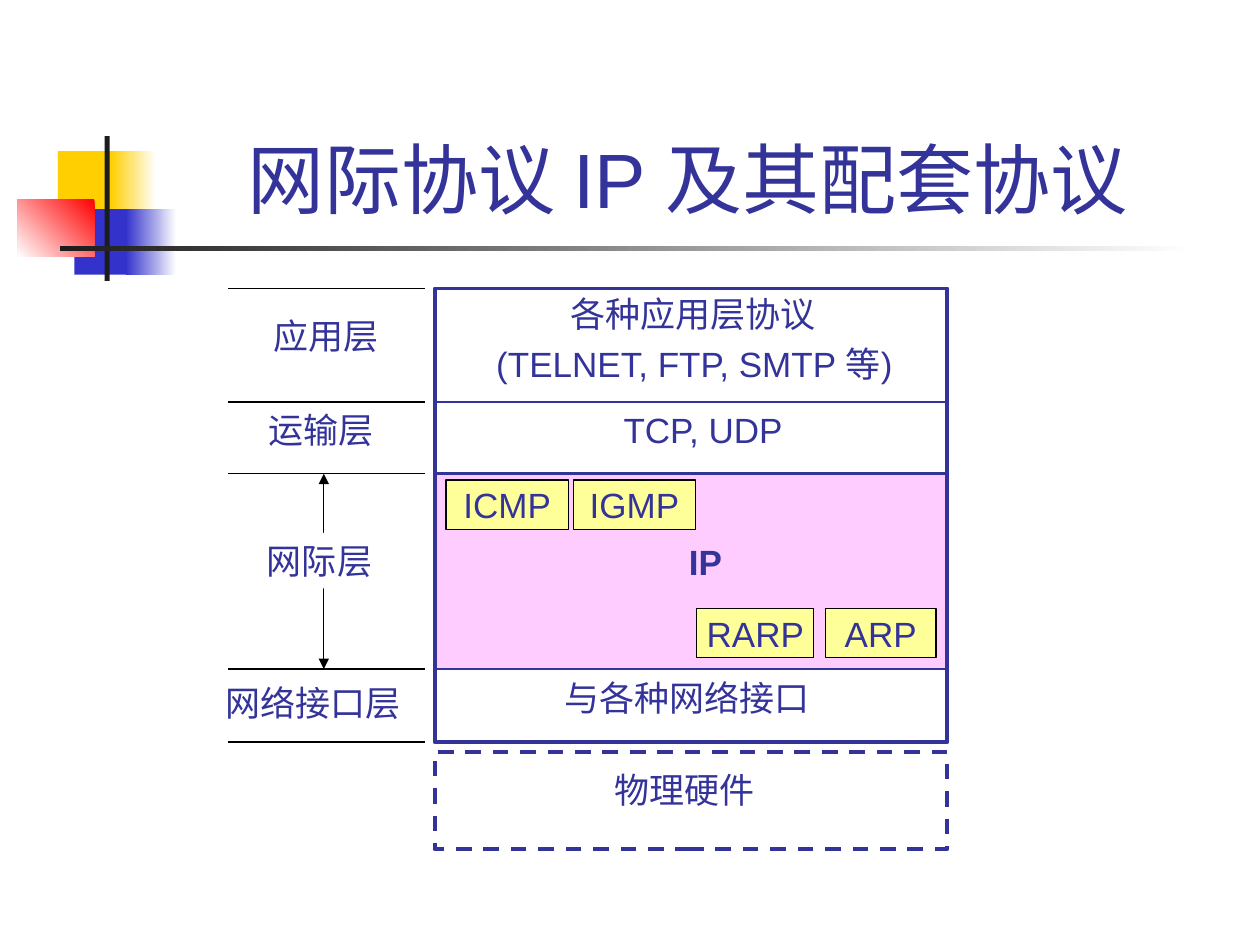
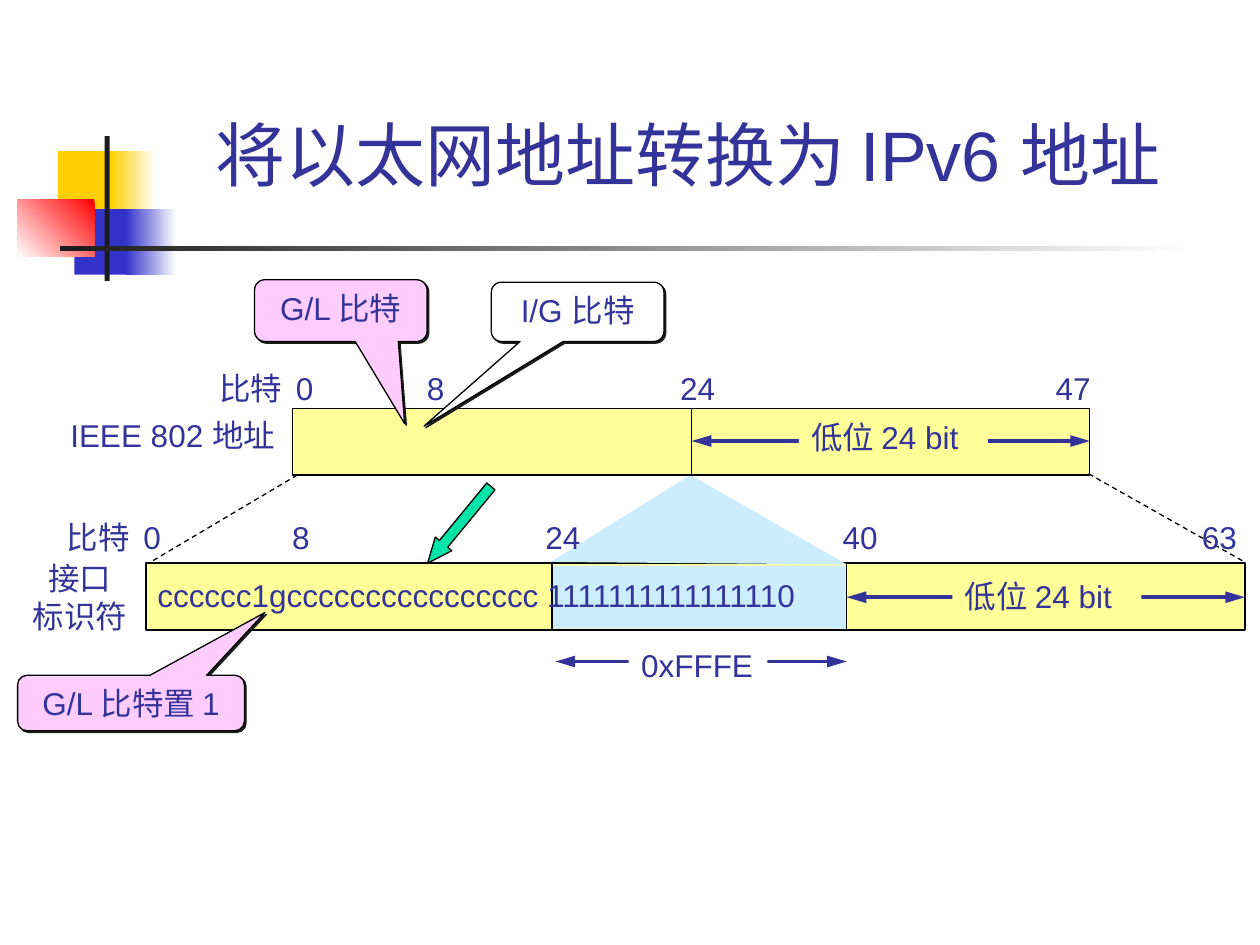
from dataclasses import dataclass
from typing import Optional

import lxml.etree
import pptx
import pptx.dml.color
import pptx.enum.dml
import pptx.enum.shapes
import pptx.enum.text
import pptx.oxml.ns
import pptx.shapes.autoshape
import pptx.slide
import pptx.util

Inches = pptx.util.Inches
Kind = pptx.enum.shapes.MSO_SHAPE
Align = pptx.enum.text.PP_ALIGN
Anchor = pptx.enum.text.MSO_ANCHOR
Fit = pptx.enum.text.MSO_AUTO_SIZE
DASH = pptx.enum.dml.MSO_LINE.DASH


@dataclass(frozen=True)
class Theme:
    font: str = "Arial"
    ink: str = "333399"
    black: str = "000000"
    white: str = "FFFFFF"
    yellow: str = "FFFF99"
    pink: str = "FFCCFF"
    sky: str = "CCECFF"
    green: str = "00E4A8"
    gold: str = "FFCF01"
    blue: str = "3333CC"
    red: str = "FF0000"
    dark: str = "1C1C1C"
    layer_size: int = 20
    bit_size: int = 18
    thin: float = 0.75
    medium: float = 1.5
    thick: float = 2.25


THEME = Theme()


@dataclass(frozen=True)
class Block:
    """A preset shape; fade is the end colour of a gradient."""
    left: float
    top: float
    width: float
    height: float
    fill: Optional[str] = None
    line: Optional[str] = None
    weight: float = THEME.thin
    dashed: bool = False
    fade: Optional[str] = None
    angle: float = 180
    kind: Kind = Kind.RECTANGLE
    adjust: tuple[float, ...] = ()
    turn: float = 0
    text: str = ""
    size: int = THEME.layer_size


@dataclass(frozen=True)
class Label:
    """A text box that does not wrap unless it holds tab stops."""
    left: float
    top: float
    width: float
    height: float
    text: str
    size: int = THEME.layer_size
    bold: bool = False
    fill: Optional[str] = None
    align: Align = Align.LEFT
    spacing: Optional[float] = None
    stops: tuple[float, ...] = ()


@dataclass(frozen=True)
class Rule:
    x1: float
    y1: float
    x2: float
    y2: float
    color: str = THEME.black
    weight: float = THEME.thin
    dashed: bool = False
    arrow: Optional[str] = None  # length of both arrowheads


def rgb(color: str) -> pptx.dml.color.RGBColor:
    return pptx.dml.color.RGBColor.from_string(color)


def add_xml(parent: lxml.etree._Element, tag: str, **attributes: str) -> lxml.etree._Element:
    return lxml.etree.SubElement(parent, pptx.oxml.ns.qn(tag), attributes)


def write(frame: pptx.text.text.TextFrame, text: str, size: int, align: Align, bold: bool = False) -> None:
    frame.text = text
    for para in frame.paragraphs:
        para.alignment = align
        for span in para.runs:
            span.font.name = THEME.font
            span.font.size = pptx.util.Pt(size)
            span.font.bold = bold
            span.font.color.rgb = rgb(THEME.ink)


def draw_block(slide: pptx.slide.Slide, block: Block) -> pptx.shapes.autoshape.Shape:
    shape = slide.shapes.add_shape(block.kind, Inches(block.left), Inches(block.top),
                                   Inches(block.width), Inches(block.height))
    shape.shadow.inherit = False
    shape.rotation = block.turn
    for index, value in enumerate(block.adjust):
        shape.adjustments[index] = value
    if block.fade:
        shape.fill.gradient()
        shape.fill.gradient_angle = block.angle
        for stop, color in zip(shape.fill.gradient_stops, (block.fill, block.fade)):
            stop.color.rgb = rgb(color)
    elif block.fill:
        shape.fill.solid()
        shape.fill.fore_color.rgb = rgb(block.fill)
    else:
        shape.fill.background()
    if block.line:
        shape.line.color.rgb = rgb(block.line)
        shape.line.width = pptx.util.Pt(block.weight)
        if block.dashed:
            shape.line.dash_style = DASH
    else:
        shape.line.fill.background()
    if block.text:
        shape.text_frame.word_wrap = False
        shape.text_frame.vertical_anchor = Anchor.MIDDLE
        write(shape.text_frame, block.text, block.size, Align.CENTER)
    return shape


def draw_callout(slide: pptx.slide.Slide, block: Block) -> None:
    shape = draw_block(slide, block)
    shape.text_frame.vertical_anchor = Anchor.TOP
    effects = shape._element.spPr.find(pptx.oxml.ns.qn("a:effectLst"))
    shadow = add_xml(effects, "a:outerShdw", dist=str(pptx.util.Pt(1.4)), dir="2700000",
                     algn="ctr", rotWithShape="0")
    add_xml(shadow, "a:srgbClr", val=THEME.dark)


def draw_label(slide: pptx.slide.Slide, label: Label) -> None:
    box = slide.shapes.add_textbox(Inches(label.left), Inches(label.top),
                                   Inches(label.width), Inches(label.height))
    if label.fill:
        box.fill.solid()
        box.fill.fore_color.rgb = rgb(label.fill)
    frame = box.text_frame
    frame.word_wrap = bool(label.stops)
    frame.auto_size = Fit.SHAPE_TO_FIT_TEXT
    write(frame, label.text, label.size, label.align, label.bold)
    para = frame.paragraphs[0]
    if label.spacing:
        para.line_spacing = label.spacing
    if label.stops:
        tabs = add_xml(para._p.get_or_add_pPr(), "a:tabLst")
        for stop in label.stops:
            add_xml(tabs, "a:tab", pos=str(Inches(stop)), algn="l")


def draw_rule(slide: pptx.slide.Slide, rule: Rule) -> None:
    connector = slide.shapes.add_connector(pptx.enum.shapes.MSO_CONNECTOR.STRAIGHT,
                                           Inches(rule.x1), Inches(rule.y1),
                                           Inches(rule.x2), Inches(rule.y2))
    connector.line.color.rgb = rgb(rule.color)
    connector.line.width = pptx.util.Pt(rule.weight)
    if rule.dashed:
        connector.line.dash_style = DASH
    if rule.arrow:
        for end in ("a:headEnd", "a:tailEnd"):
            add_xml(connector.line._get_or_add_ln(), end, type="triangle", w="med", len=rule.arrow)
    add_xml(connector._element.spPr, "a:effectLst")


def start_slide(deck: pptx.presentation.Presentation, title: str, size: int,
                top: float, height: float) -> pptx.slide.Slide:
    slide = deck.slides.add_slide(deck.slide_layouts[6])
    # Corner squares, cross and fading rule
    for block in (
        Block(0.46, 1.2, 0.48, 0.52, THEME.gold),
        Block(0.88, 1.2, 0.36, 0.52, THEME.white, fade=THEME.gold),
        Block(0.59, 1.66, 0.46, 0.52, THEME.blue),
        Block(1, 1.66, 0.4, 0.52, THEME.white, fade=THEME.blue),
        Block(0.14, 1.58, 0.61, 0.46, THEME.red, fade=THEME.white, angle=225),
        Block(0.83, 1.08, 0.04, 1.15, THEME.dark),
        Block(0.48, 1.95, 9, 0.04, THEME.white, fade=THEME.dark),
    ):
        draw_block(slide, block)
    # Title
    box = slide.shapes.add_textbox(Inches(1.2), Inches(top), Inches(8.52), Inches(height))
    box.text_frame.word_wrap = True
    box.text_frame.vertical_anchor = Anchor.BOTTOM
    write(box.text_frame, title, size, Align.CENTER)
    return slide


def build_layers(deck: pptx.presentation.Presentation) -> None:
    slide = start_slide(deck, "网际协议 IP 及其配套协议", 44, 0.23, 1.6)
    left, right, width = 3.45, 7.52, 4.07
    edges = (2.29, 3.19, 3.76, 5.31, 5.89)

    # Protocol stack and hardware
    draw_block(slide, Block(left, 3.76, width, 1.55, THEME.pink))
    draw_block(slide, Block(left, 2.29, width, 3.6, line=THEME.ink, weight=THEME.thick))
    draw_block(slide, Block(left, 5.97, width, 0.77, THEME.white, THEME.ink, THEME.thick, True))
    for y in edges[1:-1]:
        draw_rule(slide, Rule(left, y, right, y, THEME.ink, THEME.medium))

    # Layer marks
    for y in edges:
        draw_rule(slide, Rule(1.81, y, 3.37, y))
    draw_rule(slide, Rule(2.57, 3.76, 2.57, 5.31, arrow="med"))

    # Protocol boxes
    for x, y, box_width, name in ((3.54, 3.81, 0.97, "ICMP"), (4.55, 3.81, 0.97, "IGMP"),
                                  (5.53, 4.83, 0.93, "RARP"), (6.55, 4.83, 0.88, "ARP")):
        draw_block(slide, Block(x, y, box_width, 0.39, THEME.yellow, THEME.black, text=name))

    # Layer names and contents
    for label in (
        Label(2.07, 2.45, 1.15, 0.44, "应用层"),
        Label(2.03, 3.19, 1.15, 0.44, "运输层"),
        Label(2.02, 4.23, 1.15, 0.44, "网际层", fill=THEME.white),
        Label(1.69, 5.44, 1.7, 0.35, "网络接口层", spacing=0.75),
        Label(4.43, 2.27, 2.25, 0.44, "各种应用层协议"),
        Label(3.84, 2.67, 3.6, 0.44, "(TELNET, FTP, SMTP 等)"),
        Label(4.85, 3.19, 1.55, 0.44, "TCP, UDP"),
        Label(5.37, 4.24, 0.5, 0.44, "IP", bold=True),
        Label(4.38, 5.32, 2.25, 0.44, "与各种网络接口"),
        Label(4.78, 6.05, 1.4, 0.44, "物理硬件"),
    ):
        draw_label(slide, label)


def build_addresses(deck: pptx.presentation.Presentation) -> None:
    slide = start_slide(deck, "将以太网地址转换为 IPv6 地址", 40, 0.68, 0.92)
    size = THEME.bit_size

    # Address bars and the inserted field
    draw_block(slide, Block(1.16, 4.47, 8.72, 0.53, THEME.yellow, THEME.black, THEME.medium))
    draw_block(slide, Block(4.39, 4.49, 2.33, 0.5, THEME.sky))
    wedge = slide.shapes.build_freeform(Inches(5.48), Inches(3.77))
    wedge.add_line_segments([(Inches(4.37), Inches(4.46)), (Inches(6.72), Inches(4.48))])
    insertion = wedge.convert_to_shape()
    insertion.shadow.inherit = False
    insertion.fill.solid()
    insertion.fill.fore_color.rgb = rgb(THEME.sky)
    insertion.line.fill.background()
    draw_block(slide, Block(2.32, 3.24, 6.33, 0.53, THEME.yellow, THEME.black))

    # Field dividers, then the dashed links between the bars
    for x, y in ((5.49, 3.24), (4.38, 4.47), (6.72, 4.47)):
        draw_rule(slide, Rule(x, y, x, y + 0.53))
    draw_rule(slide, Rule(8.64, 3.76, 9.86, 4.45, dashed=True))
    draw_rule(slide, Rule(2.36, 3.77, 1.18, 4.47, dashed=True))

    # Field spans
    for x1, x2, y in ((5.49, 8.65, 3.5), (6.72, 9.88, 4.74), (4.41, 6.72, 5.25)):
        draw_rule(slide, Rule(x1, y, x2, y, THEME.ink, THEME.thick, arrow="lg"))

    # Bit numbers, names and values
    for label in (
        Label(6.34, 3.27, 1.5, 0.4, "低位 24 bit", size, fill=THEME.yellow),
        Label(7.56, 4.53, 1.5, 0.4, "低位 24 bit", size, fill=THEME.yellow),
        Label(4.99, 5.08, 1.1, 0.4, "0xFFFE", size, fill=THEME.white),
        Label(1.15, 4.52, 5.52, 0.4, "cccccc1gcccccccccccccccc 1111111111111110", size),
        Label(1.64, 2.88, 7.2, 0.4, "比特\t0\t8\t24\t47", size, stops=(0.61, 1.65, 3.66, 6.64)),
        Label(0.43, 4.06, 9.55, 0.4, "比特\t0\t8\t24\t40\t63", size,
              stops=(0.61, 1.79, 3.8, 6.16, 9.01)),
        Label(0.46, 3.25, 2, 0.4, "IEEE 802 地址", size),
        Label(0.12, 4.39, 1.03, 0.7, "接口\n标识符", size, align=Align.CENTER),
    ):
        draw_label(slide, label)

    # Conversion arrow and callouts
    draw_block(slide, Block(3.56, 3.77, 0.17, 0.79, THEME.green, THEME.black,
                            kind=Kind.DOWN_ARROW, adjust=(0.5, 1.17), turn=39.5))
    for x, y, width, height, fill, tip, text in (
        (3.9, 2.24, 1.37, 0.47, THEME.white, (-0.89, 1.93), "I/G 比特"),
        (2.02, 2.22, 1.37, 0.49, THEME.pink, (0.37, 1.83), "G/L 比特"),
        (0.14, 5.36, 1.8, 0.44, THEME.pink, (0.59, -1.63), "G/L 比特置 1"),
    ):
        draw_callout(slide, Block(x, y, width, height, fill, THEME.black, text=text, size=size,
                                  kind=Kind.ROUNDED_RECTANGULAR_CALLOUT, adjust=(*tip, 0.17)))


def main() -> None:
    deck = pptx.Presentation()
    deck.slide_width, deck.slide_height = Inches(10), Inches(7.5)
    build_layers(deck)
    build_addresses(deck)
    deck.save("out.pptx")


if __name__ == "__main__":
    main()
